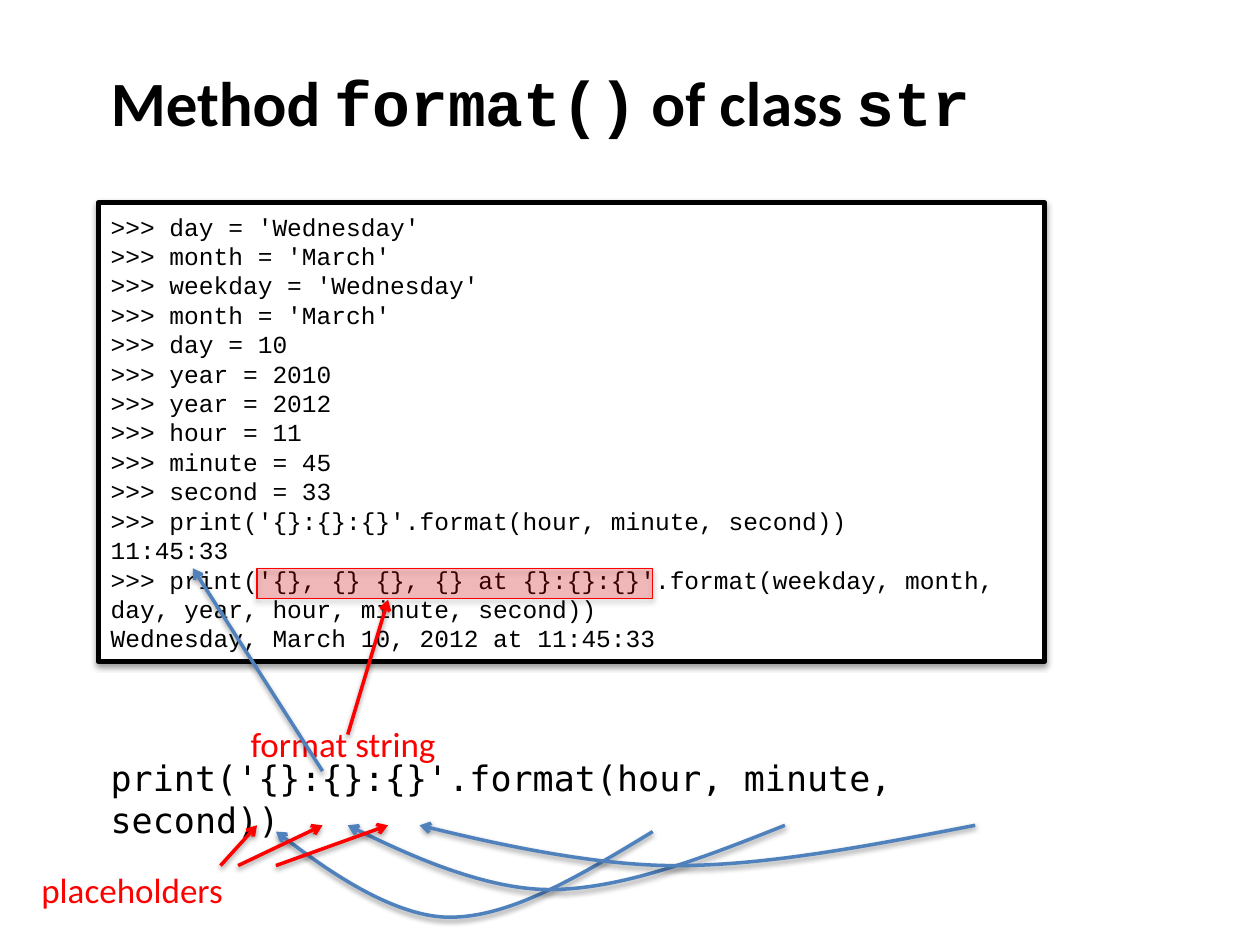
from dataclasses import dataclass

from lxml.etree import SubElement
from pptx import Presentation
from pptx.dml.color import RGBColor
from pptx.enum.shapes import MSO_CONNECTOR, MSO_SHAPE
from pptx.enum.text import MSO_ANCHOR, PP_ALIGN
from pptx.oxml.ns import qn
from pptx.util import Inches, Pt

BLACK = RGBColor(0x00, 0x00, 0x00)
WHITE = RGBColor(0xFF, 0xFF, 0xFF)
RED = RGBColor(0xFF, 0x00, 0x00)
BLUE = RGBColor(0x4F, 0x81, 0xBD)
SANS, MONO, CODE = "Calibri", "Courier New", "DejaVu Sans Mono"

# The slide is a grid of 100 columns by 75 rows
SLIDE_W, SLIDE_H = Inches(10), Inches(7.5)
COL, ROW = SLIDE_W / 100, SLIDE_H / 75
MARGIN = 7.8

Point = tuple[float, float]


@dataclass(frozen=True)
class Box:
    col: float
    row: float
    cols: float
    rows: float

    def emu(self) -> tuple[int, int, int, int]:
        return (*to_emu((self.col, self.row)), *to_emu((self.cols, self.rows)))


@dataclass(frozen=True)
class Label:
    text: str
    box: Box
    font: str
    color: RGBColor
    wrap: bool = False


@dataclass(frozen=True)
class Arrow:
    start: Point
    end: Point
    color: RGBColor


@dataclass(frozen=True)
class Curve:
    """Two Bezier segments that meet at the lowest point."""
    start: Point
    control1: Point
    control2: Point
    low: Point
    control3: Point
    end: Point


CURVES = [
    Curve((51.8, 66), (46.2, 69.4), (40.6, 72.8), (35.7, 72.8), (30.7, 72.8), (21.9, 66)),
    Curve((62.3, 65.5), (55.8, 68.1), (49.3, 70.6), (43.6, 70.6), (37.8, 70.6), (27.6, 65.5)),
    Curve((77.4, 65.5), (69.1, 67.1), (60.9, 68.7), (53.6, 68.7), (46.2, 68.7), (33.3, 65.5)),
]
CALL = Label("print('{}:{}:{}'.format(hour, minute, second))",
             Box(MARGIN, 61.2, 73, 4.4), CODE, BLACK, wrap=True)
FORMAT_STRING = Label("format string", Box(18.9, 56.8, 16.9, 4.4), SANS, RED)
PLACEHOLDERS = Label("placeholders", Box(2.3, 68.4, 16.6, 4.4), SANS, RED)
PLACEHOLDER_ARROWS = [Arrow((x1, 68.7), (x2, 65.5), RED)
                      for x1, x2 in ((17.5, 20.4), (21.9, 30.8), (18.9, 25.6))]
RESULT_ARROW = Arrow((25.6, 61.2), (15.3, 45.1), BLUE)
FORMAT_ARROW = Arrow((27.6, 58.3), (30.8, 47.6), RED)
CODE_BOX = Box(MARGIN, 16.1, 75.1, 36.4)
HIGHLIGHT = Box(20.4, 45.1, 31.4, 2.4)
SESSION = """\
>>> day = 'Wednesday'
>>> month = 'March'
>>> weekday = 'Wednesday'
>>> month = 'March'
>>> day = 10
>>> year = 2010
>>> year = 2012
>>> hour = 11
>>> minute = 45
>>> second = 33
>>> print('{}:{}:{}'.format(hour, minute, second))
11:45:33
>>> print('{}, {} {}, {} at {}:{}:{}'.format(weekday, month, day, year, hour, minute, second))
Wednesday, March 10, 2012 at 11:45:33"""


def to_emu(point: Point) -> tuple[int, int]:
    return round(point[0] * COL), round(point[1] * ROW)


def add_run(p, text: str, font: str, size: float, color: RGBColor, bold: bool = False) -> None:
    r = p.add_run()
    r.text = text
    r.font.name, r.font.size, r.font.bold = font, Pt(size), bold
    r.font.color.rgb = color


def add_shadow(sp, alpha: int = 38, distance: float = 1.6) -> None:
    spPr = sp.element.spPr
    effects = spPr.find(qn("a:effectLst"))
    if effects is None:
        effects = SubElement(spPr, qn("a:effectLst"))
    shadow = SubElement(effects, qn("a:outerShdw"), blurRad=str(Pt(3.1)),
                        dist=str(Pt(distance)), dir="5400000", rotWithShape="0")
    color = SubElement(shadow, qn("a:srgbClr"), val=str(BLACK))
    SubElement(color, qn("a:alpha"), val=str(alpha * 1000))


def style_arrow(sp, color: RGBColor) -> None:
    sp.line.color.rgb = color
    sp.line.width = Pt(2)
    SubElement(sp.line._get_or_add_ln(), qn("a:tailEnd"), type="arrow")
    add_shadow(sp)


def add_arrow(s, arrow: Arrow) -> None:
    style_arrow(s.shapes.add_connector(MSO_CONNECTOR.STRAIGHT, *to_emu(arrow.start),
                                       *to_emu(arrow.end)), arrow.color)


def add_curve(s, c: Curve) -> None:
    builder = s.shapes.build_freeform(*to_emu(c.start))
    nodes = (c.control1, c.control2, c.low, c.control3, c.end, c.end)
    builder.add_line_segments([to_emu(n) for n in nodes], close=False)
    sp = builder.convert_to_shape()
    # Every three straight segments become one Bezier segment
    outline = sp.element.spPr.find(".//" + qn("a:path"))
    lines = outline.findall(qn("a:lnTo"))
    for i in range(0, len(lines), 3):
        bezier = SubElement(outline, qn("a:cubicBezTo"))
        for line in lines[i:i + 3]:
            bezier.append(line[0])
            outline.remove(line)
    sp.fill.background()
    sp.shadow.inherit = False
    style_arrow(sp, BLUE)


def add_label(s, label: Label) -> None:
    tf = s.shapes.add_textbox(*label.box.emu()).text_frame
    tf.word_wrap = label.wrap
    tf.vertical_anchor = MSO_ANCHOR.MIDDLE
    add_run(tf.paragraphs[0], label.text, label.font, 20, label.color)


def add_rect(s, box: Box, fill: RGBColor, line: RGBColor, width: float):
    sp = s.shapes.add_shape(MSO_SHAPE.RECTANGLE, *box.emu())
    sp.shadow.inherit = False
    sp.fill.solid()
    sp.fill.fore_color.rgb = fill
    sp.line.color.rgb = line
    sp.line.width = Pt(width)
    return sp


def add_title(s) -> None:
    title = s.shapes.title
    title.left, title.top, title.width, title.height = Box(MARGIN, 0, 85, 16.1).emu()
    tf = title.text_frame
    tf.vertical_anchor = MSO_ANCHOR.MIDDLE
    p = tf.paragraphs[0]
    p.alignment = PP_ALIGN.LEFT
    for text, font in (("Method ", SANS), ("format()", MONO), (" of class ", SANS), ("str", MONO)):
        add_run(p, text, font, 36, BLACK, bold=True)


def add_session(s) -> None:
    sp = add_rect(s, CODE_BOX, WHITE, BLACK, 3)
    add_shadow(sp)
    tf = sp.text_frame
    tf.word_wrap = True
    tf.vertical_anchor = MSO_ANCHOR.MIDDLE
    for i, text in enumerate(SESSION.splitlines()):
        p = tf.add_paragraph() if i else tf.paragraphs[0]
        p.alignment = PP_ALIGN.LEFT
        p.line_spacing = Pt(16.8)
        add_run(p, text, MONO, 14, BLACK)


def add_highlight(s) -> None:
    sp = add_rect(s, HIGHLIGHT, RED, RED, 0.75)
    color = sp.element.spPr.find(qn("a:solidFill"))[0]
    SubElement(color, qn("a:alpha"), val="22000")
    add_shadow(sp, alpha=35, distance=1.8)


def main() -> None:
    prs = Presentation()
    prs.slide_width, prs.slide_height = SLIDE_W, SLIDE_H
    s = prs.slides.add_slide(prs.slide_layouts[5])
    add_title(s)
    # Large call with curves from arguments to placeholders
    add_label(s, CALL)
    for curve in CURVES:
        add_curve(s, curve)
    # Interpreter session and red annotations
    add_label(s, FORMAT_STRING)
    add_session(s)
    add_label(s, PLACEHOLDERS)
    for arrow in (*PLACEHOLDER_ARROWS, RESULT_ARROW):
        add_arrow(s, arrow)
    add_highlight(s)
    add_arrow(s, FORMAT_ARROW)
    prs.save("out.pptx")


if __name__ == "__main__":
    main()
